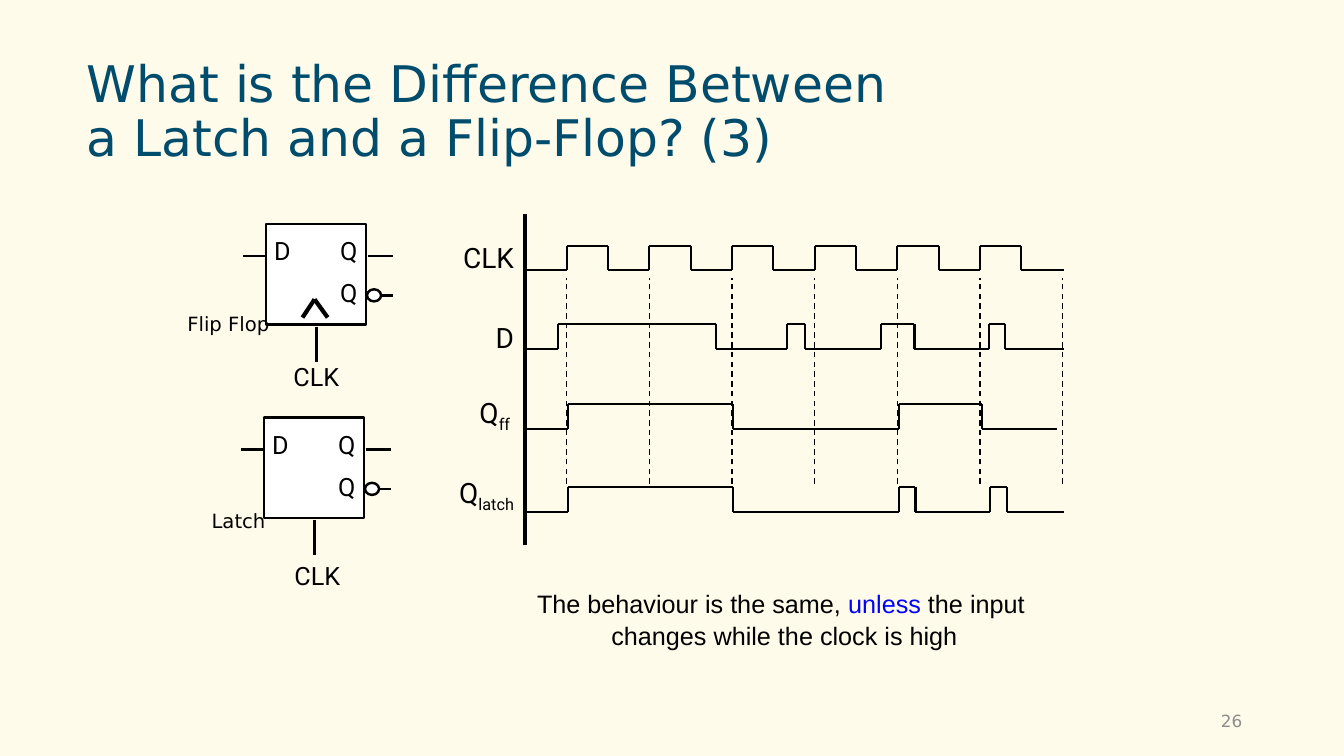
from lxml.etree import SubElement
from pptx import Presentation
from pptx.dml.color import RGBColor
from pptx.enum.dml import MSO_LINE
from pptx.enum.shapes import MSO_CONNECTOR, MSO_SHAPE
from pptx.enum.text import MSO_ANCHOR, MSO_AUTO_SIZE, PP_ALIGN
from pptx.oxml.ns import qn
from pptx.util import Inches, Pt

COLORS = {
    "background": "FFFBEB",
    "title": "004C6C",
    "ink": "000000",
    "accent": "0000FF",
    "number": "8C8C8C",
    "white": "FFFFFF",
}
SANS, ARIAL, ROBOTO = "DejaVu Sans", "Arial", "Roboto"
TIGHT = (0.02, 0.03)
CLOCK_START, HALF_PERIOD, WAVE_END = 5.62, 0.41, 10.55


def color(name):
    return RGBColor.from_string(COLORS[name])


def set_attrs(obj, values):
    for name, value in values.items():
        setattr(obj, name, value)


def add_run(p, text, size, font, ink="ink", baseline=None):
    r = p.add_run()
    r.text = text
    set_attrs(r.font, {"size": Pt(size), "name": font})
    r.font.color.rgb = color(ink)
    if baseline:
        r._r.get_or_add_rPr().set("baseline", str(baseline))


def add_text(slide, box, paragraphs, size, font, margins=(0.1, 0.05),
             wrap=False, anchor=MSO_ANCHOR.TOP, **para_format):
    """Each paragraph is a list of (text, run options) pairs."""
    tf = slide.shapes.add_textbox(*map(Inches, box)).text_frame
    mx, my = map(Inches, margins)
    set_attrs(tf, {"margin_left": mx, "margin_right": mx, "margin_top": my,
                   "margin_bottom": my, "word_wrap": wrap,
                   "vertical_anchor": anchor})
    for i, runs in enumerate(paragraphs):
        p = tf.add_paragraph() if i else tf.paragraphs[0]
        set_attrs(p, para_format)
        for text, options in runs:
            add_run(p, text, size, font, **options)


def add_line(slide, start, end, width, dashed=False):
    line = slide.shapes.add_connector(
        MSO_CONNECTOR.STRAIGHT, *map(Inches, (*start, *end)))
    line.line.width = Pt(width)
    line.line.color.rgb = color("ink")
    if dashed:
        line.line.dash_style = MSO_LINE.DASH
    SubElement(line._element.spPr, qn("a:effectLst"))


def add_outlined(slide, kind, box):
    sp = slide.shapes.add_shape(kind, *map(Inches, box))
    sp.shadow.inherit = False
    sp.fill.solid()
    sp.fill.fore_color.rgb = color("white")
    sp.line.color.rgb = color("ink")
    sp.line.width = Pt(1.75)


def add_waveform(slide, start, end, low, high, edges):
    """Draw a signal that starts low and toggles at every edge."""
    x, level = start, low
    for edge in edges:
        other = high if level == low else low
        add_line(slide, (x, level), (edge, level), 1.5)
        add_line(slide, (edge, level), (edge, other), 1.5)
        x, level = edge, other
    add_line(slide, (x, level), (end, level), 1.5)


def add_storage_element(slide, x, y, clk_at):
    """Draw a D/Q box with its pins, inverted output and clock label."""
    add_outlined(slide, MSO_SHAPE.RECTANGLE, (x, y, 0.99, 1))
    for name, dx, dy in (("D", 0.07, 0.22), ("Q", 0.73, 0.22),
                         ("Q", 0.73, 0.64)):
        add_text(slide, (x + dx, y + dy, 0.18, 0.19), [[(name, {})]], 18,
                 ROBOTO, (0, 0), alignment=PP_ALIGN.CENTER,
                 line_spacing=Pt(14))
    for x1, y1, x2, y2 in ((-0.23, 0.32, 0.01, 0.32), (1.01, 0.32, 1.26, 0.32),
                           (1.01, 0.71, 1.26, 0.71), (0.5, 1.02, 0.5, 1.37)):
        add_line(slide, (x + x1, y + y1), (x + x2, y + y2), 1.75)
    add_outlined(slide, MSO_SHAPE.OVAL, (x + 1, y + 0.65, 0.14, 0.12))
    add_text(slide, (*clk_at, 0.78, 0.41), [[("CLK", {})]], 18, ROBOTO, TIGHT,
             line_spacing=Pt(16))


def add_title(slide):
    title = slide.shapes.title
    set_attrs(title, dict(zip(("left", "top", "width", "height"),
                              map(Inches, (0.76, 0.4, 11.81, 1.45)))))
    tf = title.text_frame
    set_attrs(tf, {"vertical_anchor": MSO_ANCHOR.MIDDLE, "word_wrap": True,
                   "auto_size": MSO_AUTO_SIZE.NONE})
    p = tf.paragraphs[0]
    set_attrs(p, {"alignment": PP_ALIGN.LEFT, "line_spacing": 0.9})
    add_run(p, "What is the Difference Between ", 36, SANS, "title")
    p.add_line_break()
    add_run(p, "a Latch and a Flip-Flop? (3)", 36, SANS, "title")


def add_timing_diagram(slide):
    # Axis and clock-edge guides
    add_line(slide, (5.21, 5.41), (5.21, 2.12), 3)
    for i in range(7):
        x = CLOCK_START + 2 * HALF_PERIOD * i
        add_line(slide, (x, 4.8), (x, 2.76), 1, dashed=True)

    # Signal names
    sub = {"baseline": -25000}
    add_text(slide, (4.36, 2.29, 0.76, 2.92),
             [[("CLK", {})], [("D", {})], [("Q", {}), ("ff ", sub)],
              [("Q", {}), ("latch", sub)]],
             20, ROBOTO, TIGHT, alignment=PP_ALIGN.RIGHT,
             line_spacing=Pt(28.6), space_after=Pt(28.6))

    # Signals: start, end, low level, high level, edges
    clock_edges = [CLOCK_START + HALF_PERIOD * i for i in range(12)]
    signals = (
        (5.21, WAVE_END, 2.68, 2.44, clock_edges),
        (5.2, WAVE_END, 3.46, 3.21,
         (5.53, 7.1, 7.81, 7.98, 8.74, 9.07, 9.81, 9.97)),
        (5.19, 10.48, 4.26, 4.01, (5.63, 7.27, 8.92, 9.74)),
        (5.19, WAVE_END, 5.08, 4.83, (5.63, 7.27, 8.92, 9.08, 9.82, 9.99)),
    )
    for signal in signals:
        add_waveform(slide, *signal)


def main():
    prs = Presentation()
    prs.slide_width, prs.slide_height = Inches(13.33), Inches(7.5)
    slide = prs.slides.add_slide(prs.slide_layouts[5])
    slide.background.fill.solid()
    slide.background.fill.fore_color.rgb = color("background")

    add_title(slide)
    add_timing_diagram(slide)

    # Latch, then flip-flop with its clock-edge mark
    add_storage_element(slide, 2.62, 4.14, (2.9, 5.61))
    add_storage_element(slide, 2.64, 2.22, (2.89, 3.63))
    for foot in (3, 3.25):
        add_line(slide, (foot, 3.15), (3.12, 2.97), 3)
    for name, x, y in (("Flip Flop", 1.76, 3.05), ("Latch", 2, 5)):
        add_text(slide, (x, y, 1.04, 0.34), [[(name, {})]], 14, SANS, wrap=True)

    # Conclusion and slide number
    add_text(slide, (5.18, 5.79, 5.2, 0.63),
             [[("The behaviour is the same, ", {}),
               ("unless ", {"ink": "accent"}), ("the input ", {})],
              [("changes while the clock is high", {})]],
             18, ARIAL, TIGHT, alignment=PP_ALIGN.CENTER, line_spacing=1.05)
    add_text(slide, (9.42, 6.95, 3, 0.4), [[("26", {"ink": "number"})]], 12,
             SANS, wrap=True, anchor=MSO_ANCHOR.MIDDLE,
             alignment=PP_ALIGN.RIGHT)

    prs.save("out.pptx")


if __name__ == "__main__":
    main()
